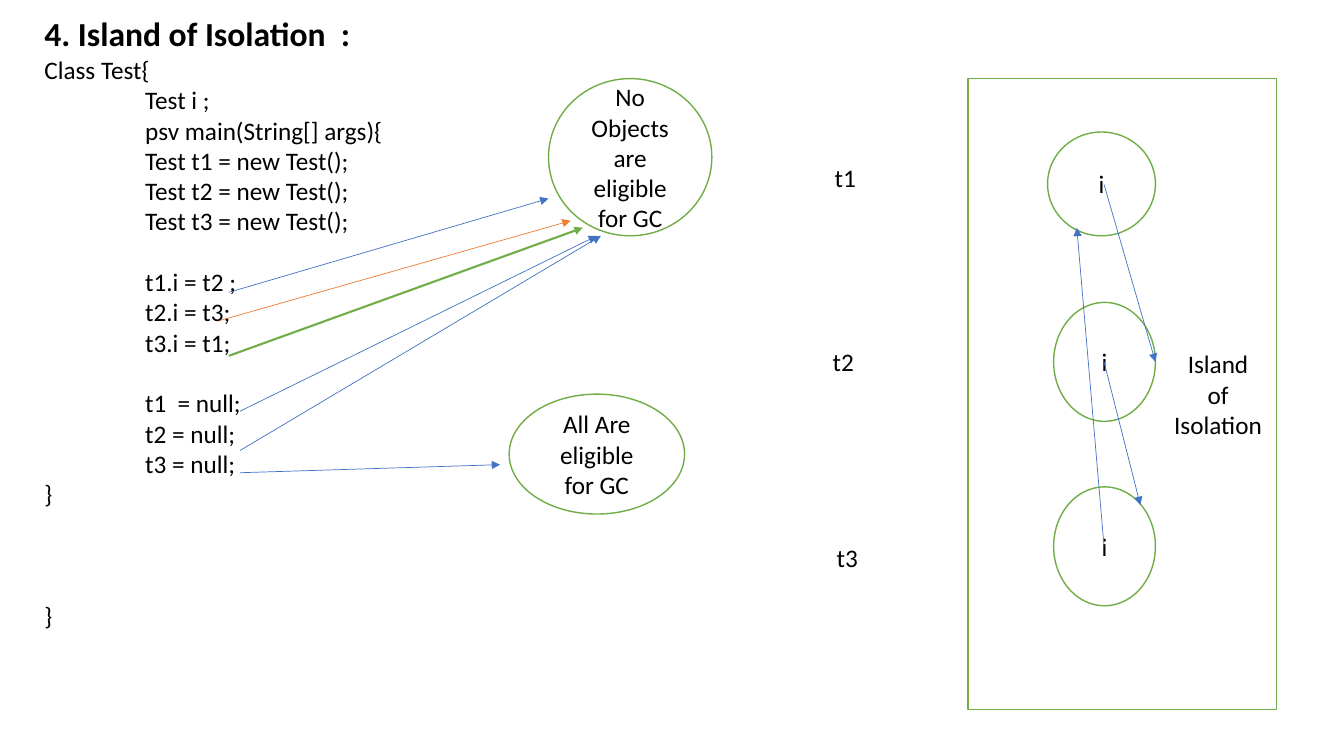
import pptx
import pptx.util
import pptx.dml.color
import pptx.enum.shapes
import pptx.enum.text
import pptx.oxml
import pptx.oxml.ns

Inches, Pt = pptx.util.Inches, pptx.util.Pt
RGBColor = pptx.dml.color.RGBColor
SHAPE = pptx.enum.shapes.MSO_SHAPE
ALIGN = pptx.enum.text.PP_ALIGN
ANCHOR = pptx.enum.text.MSO_ANCHOR

BLACK = RGBColor(0x00, 0x00, 0x00)
WHITE = RGBColor(0xFF, 0xFF, 0xFF)
GREEN = RGBColor(0x70, 0xAD, 0x47)
BLUE = RGBColor(0x44, 0x72, 0xC4)
ORANGE = RGBColor(0xED, 0x7D, 0x31)
LINE_HEIGHT = 21.8

TITLE = "4. Island of Isolation  :"
# (text, indent in inches, blank lines before)
CODE = [
    ("Class Test{", 0, 0),
    ("Test i ;", 1, 0),
    ("psv main(String[] args){", 1, 0),
    ("Test t1 = new Test();", 1, 0),
    ("Test t2 = new Test();", 1, 0),
    ("Test t3 = new Test();", 1, 0),
    ("t1.i = t2 ;", 1, 1),
    ("t2.i = t3;", 1, 0),
    ("t3.i = t1;", 1, 0),
    ("t1  = null;", 1, 1),
    ("t2 = null;", 1, 0),
    ("t3 = null;", 1, 0),
    ("}", 0, 0),
    ("}", 0, 3),
]
HEAP = ["Island", "of", "Isolation"]
VERDICTS = [
    ("No Objects are eligible for GC", (5.44, 0.78, 1.62, 1.56)),
    ("All Are eligible for GC", (5.05, 3.91, 1.74, 1.19)),
]
OBJECTS = [
    ("t1", (8.18, 1.56), (10.39, 1.31, 1.07, 1.03)),
    ("t2", (8.16, 3.39), (10.45, 3, 1.01, 1.18)),
    ("t3", (8.2, 5.33), (10.45, 4.83, 1.01, 1.18)),
]
ARROWS = [
    ((10.95, 1.83), (11.46, 3.59), BLUE, 0.5),
    ((10.95, 3.59), (11.31, 5.01), BLUE, 0.5),
    ((10.95, 5.42), (10.68, 2.26), BLUE, 0.5),
    ((2.27, 2.9), (5.44, 1.97), BLUE, 0.5),
    ((2.18, 3.18), (5.66, 2.19), ORANGE, 0.5),
    ((2.27, 3.53), (5.78, 2.26), GREEN, 1.5),
    ((2.38, 4.08), (5.92, 2.34), BLUE, 0.5),
    ((2.38, 4.47), (5.96, 2.34), BLUE, 0.5),
    ((2.38, 4.69), (4.96, 4.61), BLUE, 0.5),
]


def write(sp, lines, size=18, bold=False, align=ALIGN.LEFT, anchor=ANCHOR.TOP):
    tf = sp.text_frame
    tf.word_wrap = True
    tf.auto_size = pptx.enum.text.MSO_AUTO_SIZE.NONE
    tf.vertical_anchor = anchor
    for n, text in enumerate(lines):
        p = tf.add_paragraph() if n else tf.paragraphs[0]
        p.alignment = align
        p.line_spacing = 1.0
        p.space_before = p.space_after = Pt(0)
        r = p.add_run()
        r.text = text
        r.font.name = "Calibri"
        r.font.size = Pt(size)
        r.font.bold = bold
        r.font.color.rgb = BLACK
    return tf


def place(sp, *box):
    sp.left, sp.top, sp.width, sp.height = map(Inches, box)


def outlined(kind, box, lines):
    sp = s.shapes.add_shape(kind, *map(Inches, box))
    sp.shadow.inherit = False
    sp.fill.solid()
    sp.fill.fore_color.rgb = WHITE
    sp.line.color.rgb = GREEN
    sp.line.width = Pt(1)
    return write(sp, lines, align=ALIGN.CENTER, anchor=ANCHOR.MIDDLE)


def arrow(start, end, color, width):
    c = s.shapes.add_connector(pptx.enum.shapes.MSO_CONNECTOR.STRAIGHT,
                               *map(Inches, start + end))
    c.line.color.rgb = color
    c.line.width = Pt(width)
    qn = pptx.oxml.ns.qn
    spPr = c._element.spPr
    head = spPr.find(qn("a:ln")).makeelement(qn("a:tailEnd"), {"type": "triangle"})
    spPr.find(qn("a:ln")).append(head)
    spPr.append(spPr.makeelement(qn("a:effectLst"), {}))


prs = pptx.Presentation()
prs.slide_width, prs.slide_height = Inches(13.33), Inches(7.5)
s = prs.slides.add_slide(prs.slide_layouts[1])

title, body = s.shapes.title, s.placeholders[1]
place(title, 0.34, 0.08, 12.9, 0.5)
write(title, [TITLE], size=24, bold=True)
place(body, 0.34, 0.49, 12.9, 5.85)
tf = write(body, [text for text, indent, blanks in CODE])
for p, (text, indent, blanks) in zip(tf.paragraphs, CODE):
    p.space_before = Pt(blanks * LINE_HEIGHT)
    pPr = p._p.get_or_add_pPr()
    pPr.set("marL", str(Inches(indent)))
    pPr.set("indent", "0")
    pPr.append(pPr.makeelement(pptx.oxml.ns.qn("a:buNone"), {}))

heap = outlined(SHAPE.RECTANGLE, (9.6, 0.78, 3.06, 6.26), HEAP)
heap.margin_left = Inches(2)
for text, box in VERDICTS:
    outlined(SHAPE.OVAL, box, [text])
for name, corner, box in OBJECTS:
    outlined(SHAPE.OVAL, box, ["i"])
    write(s.shapes.add_textbox(*map(Inches, corner + (0.46, 0.4))), [name])
for link in ARROWS:
    arrow(*link)

prs.save("out.pptx")
